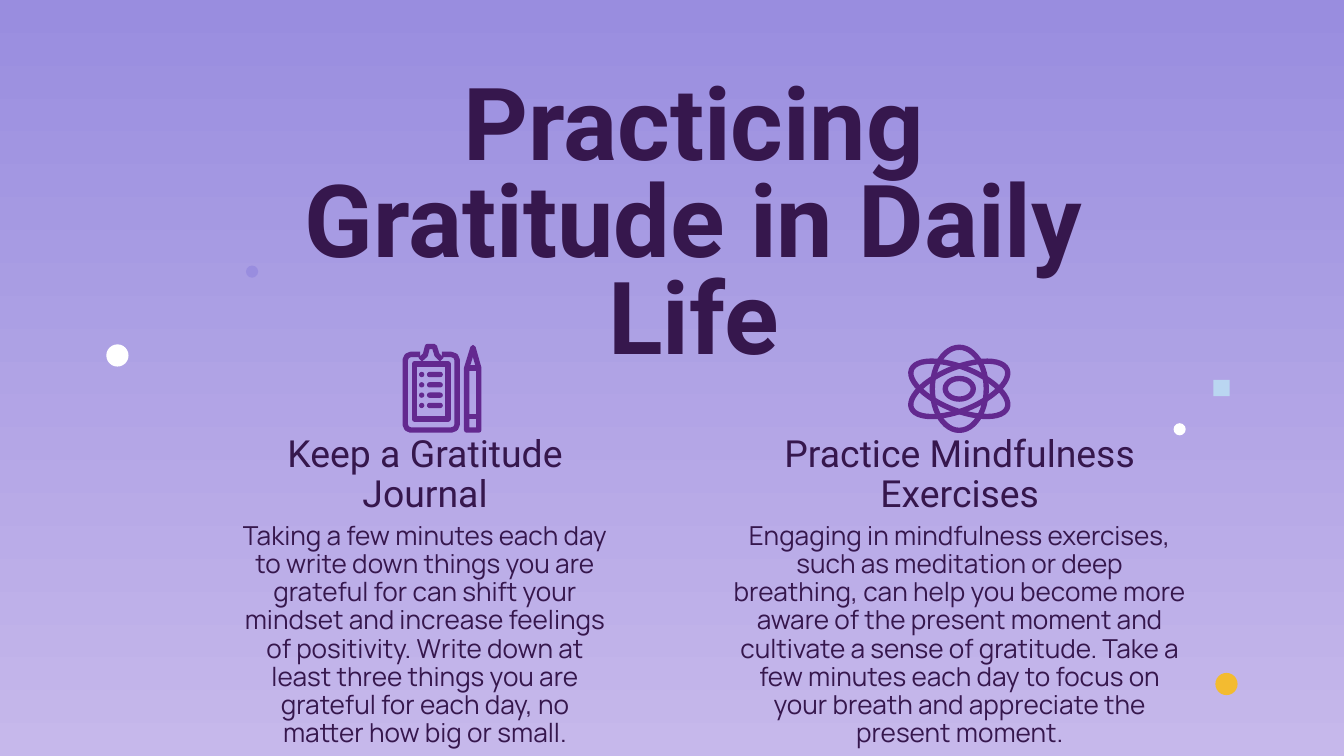
import pptx
import pptx.dml.color
import pptx.enum.shapes
import pptx.enum.text
import pptx.util

Cm = pptx.util.Cm
SHAPE = pptx.enum.shapes.MSO_SHAPE
ANCHOR = pptx.enum.text.MSO_ANCHOR
INK = "36174D"
ICON = "63298F"
STROKE = 2.85


def rgb(value):
    return pptx.dml.color.RGBColor.from_string(value)


def write(s, text, size, font, bold=False, spacing=0.9, anchor=ANCHOR.TOP):
    tf = s.text_frame
    tf.word_wrap = True
    tf.auto_size = pptx.enum.text.MSO_AUTO_SIZE.NONE
    tf.vertical_anchor = anchor
    tf.margin_left = tf.margin_right = Cm(0.25)
    tf.margin_top = tf.margin_bottom = Cm(0.13)
    p = tf.paragraphs[0]
    p.alignment = pptx.enum.text.PP_ALIGN.CENTER
    p.line_spacing = spacing
    r = p.add_run()
    r.text = text
    r.font.size = pptx.util.Pt(size)
    r.font.name = font
    r.font.bold = bold
    r.font.color.rgb = rgb(INK)


def paint(s, fill=None, line=None):
    s.shadow.inherit = False
    if fill:
        s.fill.solid()
        s.fill.fore_color.rgb = rgb(fill)
    else:
        s.fill.background()
    if line:
        s.line.color.rgb = rgb(line)
        s.line.width = pptx.util.Pt(STROKE)
    else:
        s.line.fill.background()


def preset(shapes, kind, x, y, w, h, **colours):
    s = shapes.add_shape(kind, Cm(x), Cm(y), Cm(w), Cm(h))
    paint(s, **colours)
    return s


def outline(shapes, x, y, points, close=True):
    """Stroke a path whose points are hundredths of a centimetre from x, y."""
    builder = shapes.build_freeform(*points[0], scale=Cm(0.01))
    builder.add_line_segments(points[1:], close=close)
    paint(builder.convert_to_shape(Cm(x), Cm(y)), line=ICON)


def journal_icon(slide, x, y):
    shapes = slide.shapes.add_group_shape().shapes
    board = [(33, 20), (15, 20), (8, 23), (5, 30), (5, 153), (8, 160), (15, 163),
             (92, 163), (100, 160), (103, 153), (103, 30), (100, 23), (92, 20), (74, 20)]
    outline(shapes, x, y, board, close=False)
    outline(shapes, x, y, [(33, 30), (43, 21), (47, 5), (60, 5), (65, 21), (74, 30)],
            close=False)
    preset(shapes, SHAPE.RECTANGLE, x + 0.22, y + 0.38, 0.64, 1.04, line=ICON)
    for i in range(4):
        row = y + 0.53 + 0.195 * i
        preset(shapes, SHAPE.OVAL, x + 0.31, row, 0.1, 0.1, fill=ICON)
        bar = preset(shapes, SHAPE.ROUNDED_RECTANGLE, x + 0.46, row, 0.3, 0.1, fill=ICON)
        bar.adjustments[0] = 0.5
    outline(shapes, x, y, [(133, 7), (144, 46), (144, 163), (121, 163), (121, 46)])
    for level in (46, 137):
        outline(shapes, x, y, [(121, level), (144, level)], close=False)


def atom_icon(slide, x, y):
    """Draw orbits around the centre of a box 1.92 by 1.68 cm."""
    shapes = slide.shapes.add_group_shape().shapes
    cx, cy = x + 0.96, y + 0.85
    for w, h, turn in [(1.02, 1.57, 0), (1.95, 0.81, 22), (1.95, 0.81, -22), (0.53, 0.39, 0)]:
        orbit = preset(shapes, SHAPE.OVAL, cx - w / 2, cy - h / 2, w, h, line=ICON)
        orbit.rotation = turn


def title(slide, x, y, w, h, text):
    s = slide.shapes.title
    s.left, s.top, s.width, s.height = Cm(x), Cm(y), Cm(w), Cm(h)
    write(s, text, 54, "Roboto", bold=True, spacing=0.8)


def practice(slide, x, y, w, heading, body):
    s = slide.shapes.add_textbox(Cm(x), Cm(y), Cm(w), Cm(1.09))
    write(s, heading, 20, "Roboto", anchor=ANCHOR.BOTTOM)
    s = slide.shapes.add_textbox(Cm(x), Cm(y + 0.96), Cm(w), Cm(2.39))
    write(s, body, 14, "Manrope")


def confetti(slide):
    for kind, x, y, size, colour in [
        (SHAPE.OVAL, 22.18, 8, 0.23, "FFFFFF"),
        (SHAPE.OVAL, 2.01, 6.51, 0.42, "FFFFFF"),
        (SHAPE.RECTANGLE, 22.93, 7.18, 0.31, "BAD6F1"),
        (SHAPE.OVAL, 22.97, 12.72, 0.42, "F3BB30"),
        (SHAPE.OVAL, 4.65, 5.02, 0.23, "998DDF"),
    ]:
        preset(slide.shapes, kind, x, y, size, size, fill=colour)


def background(slide, *colours):
    fill = slide.background.fill
    fill.gradient()
    fill.gradient_angle = 270
    for stop, colour in zip(fill.gradient_stops, colours):
        stop.color.rgb = rgb(colour)


def main():
    prs = pptx.Presentation()
    prs.slide_width, prs.slide_height = Cm(25.4), Cm(14.29)
    slide = prs.slides.add_slide(prs.slide_layouts.get_by_name("Title Only"))
    background(slide, "998DDF", "C6B8EB")
    title(slide, 4.78, 1.45, 16.66, 3.23, "Practicing Gratitude in Daily Life")
    practice(slide, 4.3, 8.79, 7.47, "Keep a Gratitude Journal",
             "Taking a few minutes each day to write down things you are grateful for "
             "can shift your mindset and increase feelings of positivity. Write down at "
             "least three things you are grateful for each day, no matter how big or small.")
    practice(slide, 13.58, 8.79, 9.12, "Practice Mindfulness Exercises",
             "Engaging in mindfulness exercises, such as meditation or deep breathing, "
             "can help you become more aware of the present moment and cultivate a sense "
             "of gratitude. Take a few minutes each day to focus on your breath and "
             "appreciate the present moment.")
    confetti(slide)
    journal_icon(slide, 7.61, 6.5)
    atom_icon(slide, 17.17, 6.5)
    prs.save("out.pptx")


if __name__ == "__main__":
    main()
